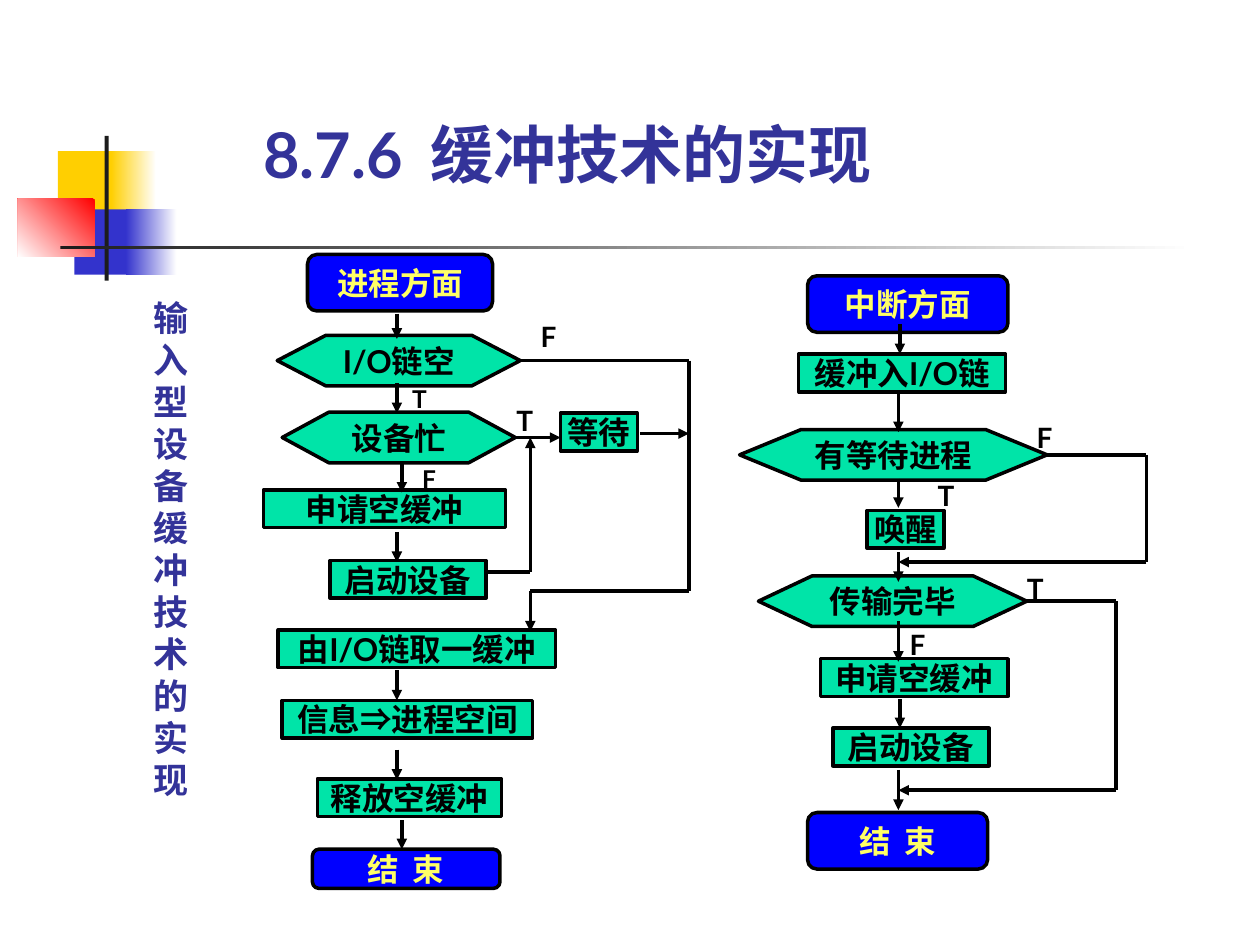
from dataclasses import dataclass
from itertools import pairwise

from lxml import etree
from pptx import Presentation
from pptx.dml.color import RGBColor
from pptx.enum.shapes import MSO_CONNECTOR, MSO_SHAPE
from pptx.enum.text import MSO_ANCHOR, PP_ALIGN
from pptx.oxml.ns import qn
from pptx.util import Cm, Pt

RECTANGLE = MSO_SHAPE.RECTANGLE
TERMINAL = MSO_SHAPE.FLOWCHART_ALTERNATE_PROCESS
DECISION = MSO_SHAPE.FLOWCHART_PREPARATION
STRAIGHT = MSO_CONNECTOR.STRAIGHT
TOP, MIDDLE, BOTTOM = MSO_ANCHOR.TOP, MSO_ANCHOR.MIDDLE, MSO_ANCHOR.BOTTOM
CENTER = PP_ALIGN.CENTER
RIGHT_SIDE = 3


@dataclass(frozen=True)
class Theme:
    font: str = "Lato"
    symbol_font: str = "Arial"
    title_size: int = 36
    side_size: int = 20
    box_size: int = 18
    label_size: int = 16
    small_label_size: int = 14
    line_width: int = 2
    black: str = "000000"
    white: str = "FFFFFF"
    heading: str = "333399"
    terminal_fill: str = "0000FF"
    terminal_text: str = "FFFF66"
    step_fill: str = "00E4A8"
    yellow: str = "FFCF01"
    blue: str = "3333CC"
    red: str = "FF0000"
    charcoal: str = "1C1C1C"


class FlowSlide:
    def __init__(self, slide, theme):
        self.shapes = slide.shapes
        self.theme = theme

    def fill_text(self, shape, parts, size, color, anchor, align=None, wrap=True):
        """Fill a shape with one paragraph; a part of one space becomes a double-width gap."""
        frame = shape.text_frame
        frame.word_wrap = wrap
        frame.vertical_anchor = anchor
        frame.margin_left = frame.margin_right = frame.margin_top = frame.margin_bottom = 0
        para = frame.paragraphs[0]
        para.alignment = align
        for part in parts:
            span = para.add_run()
            span.text = part
            font = span.font
            font.name = self.theme.symbol_font if part == "⇒" else self.theme.font
            font.size, font.bold = Pt(size), True
            font.color.rgb = RGBColor.from_string(color)
            if part == " ":
                span._r.get_or_add_rPr().set("spc", str(size * 20))

    def text(self, left, top, width, height, parts, size, color, anchor=TOP):
        box = self.shapes.add_textbox(Cm(left), Cm(top), Cm(width), Cm(height))
        self.fill_text(box, parts, size, color, anchor)

    def label(self, left, top, letter, size):
        self.text(left, top, 0.41, 0.69, [letter], size, self.theme.black)

    def shape(self, kind, left, top, width, height):
        shape = self.shapes.add_shape(kind, Cm(left), Cm(top), Cm(width), Cm(height))
        shape.shadow.inherit = False
        return shape

    def block(self, left, top, width, height, color, fade_angle=None):
        """Decorative block, fading to white when an angle is given."""
        block = self.shape(RECTANGLE, left, top, width, height)
        block.line.fill.background()
        if fade_angle is None:
            block.fill.solid()
            block.fill.fore_color.rgb = RGBColor.from_string(color)
            return
        block.fill.gradient()
        block.fill.gradient_angle = fade_angle
        for stop, shade in zip(block.fill.gradient_stops, (color, self.theme.white)):
            stop.color.rgb = RGBColor.from_string(shade)

    def box(self, kind, left, top, width, height, parts):
        theme = self.theme
        box = self.shape(kind, left, top, width, height)
        terminal = kind == TERMINAL
        box.fill.solid()
        box.fill.fore_color.rgb = RGBColor.from_string(
            theme.terminal_fill if terminal else theme.step_fill)
        box.line.color.rgb = RGBColor.from_string(theme.black)
        box.line.width = Pt(theme.line_width)
        self.fill_text(box, parts, theme.box_size,
                       theme.terminal_text if terminal else theme.black,
                       TOP if kind == RECTANGLE else MIDDLE, CENTER, wrap=False)
        return box

    def terminal(self, left, top, width, parts, height=1.14):
        return self.box(TERMINAL, left, top, width, height, parts)

    def decision(self, left, top, width, text):
        return self.box(DECISION, left, top, width, 1.02, [text])

    def step(self, left, top, width, *parts):
        return self.box(RECTANGLE, left, top, width, 0.76, parts)

    def route(self, *points, source=None):
        """Chain of lines through the points, with an arrowhead on the last one."""
        for number, (start, end) in enumerate(pairwise(points), 1):
            line = self.shapes.add_connector(STRAIGHT, *map(Cm, start + end))
            line.line.color.rgb = RGBColor.from_string(self.theme.black)
            line.line.width = Pt(self.theme.line_width)
            if source is not None and number == 1:
                line.begin_connect(source, RIGHT_SIDE)
            if number == len(points) - 1:
                etree.SubElement(line.line._get_or_add_ln(), qn("a:tailEnd"), type="triangle")
            etree.SubElement(line._element.spPr, qn("a:effectLst"))

    def drops(self, x, *spans):
        for top, bottom in spans:
            self.route((x, top), (x, bottom))


def draw_decoration(page):
    theme = page.theme
    page.block(1.17, 3.05, 1.22, 1.32, theme.yellow)
    page.block(2.24, 3.05, 0.91, 1.32, theme.yellow, 0)
    page.block(1.5, 4.22, 1.17, 1.32, theme.blue)
    page.block(2.54, 4.22, 1.02, 1.32, theme.blue, 0)
    page.block(0.36, 4.01, 1.55, 1.17, theme.red, 225)
    page.block(2.11, 2.74, 0.08, 2.92, theme.charcoal)
    page.block(1.22, 4.95, 22.86, 0.08, theme.charcoal, 0)


def draw_process_side(page):
    page.terminal(6.2, 5.13, 3.73, ["进程方面"])
    chain_empty = page.decision(5.59, 6.76, 4.9, "I/O链空")
    device_busy = page.decision(5.69, 8.31, 4.7, "设备忙")
    page.step(5.31, 9.88, 4.88, "申请空缓冲")
    page.step(6.65, 11.3, 3.15, "启动设备")
    page.step(5.61, 12.7, 5.59, "由I/O链取一缓冲")
    page.step(5.69, 14.12, 5.05, "信息", "⇒", "进程空间")
    page.step(6.4, 15.7, 3.71, "释放空缓冲")
    page.terminal(6.3, 17.12, 3.78, ["结", " ", "束"], 0.79)
    page.step(11.3, 8.33, 1.55, "等待")

    page.drops(8, (6.32, 6.83), (7.72, 8.33), (10.72, 11.33), (13.51, 14.12), (15.11, 15.72))
    page.drops(8.1, (9.32, 9.93), (16.54, 17.12))
    bypass_x, return_x = 13.89, 10.69
    page.route((10.49, 7.27), (bypass_x, 7.27), (bypass_x, 11.91),
               (return_x, 11.91), (return_x, 12.73), source=chain_empty)
    page.route((10.39, 8.82), (11.3, 8.82), source=device_busy)
    page.route((12.9, 8.74), (bypass_x, 8.74))
    page.route((9.8, 11.53), (return_x, 11.53), (return_x, 8.82))

    page.label(10.41, 8.13, "T", page.theme.label_size)
    page.label(10.9, 6.45, "F", page.theme.label_size)
    page.label(8.31, 7.75, "T", page.theme.small_label_size)
    page.label(8.51, 9.35, "F", page.theme.small_label_size)


def draw_interrupt_side(page):
    page.terminal(16.28, 5.56, 4.04, ["中断方面"])
    page.step(16.1, 7.14, 4.17, "缓冲入I/O链")
    has_waiting = page.decision(14.91, 8.66, 6.2, "有等待进程")
    page.step(17.48, 10.29, 1.55, "唤醒")
    transfer_done = page.decision(15.29, 11.61, 5.41, "传输完毕")
    page.step(16.54, 13.28, 3.78, "申请空缓冲")
    page.step(16.79, 14.68, 3.15, "启动设备")
    page.terminal(16.28, 16.38, 3.63, ["结", " ", "束"])

    axis = 18.11
    page.drops(18.14, (6.53, 7.14), (14.1, 14.68))
    page.drops(axis, (7.92, 8.71), (9.65, 10.24), (11.13, 11.73), (12.52, 13.34), (15.52, 16.33))
    page.route((21.11, 9.17), (23.11, 9.17), (23.11, 11.33), (axis, 11.33), source=has_waiting)
    page.route((20.7, 12.12), (22.5, 12.12), (22.5, 15.93), (axis, 15.93), source=transfer_done)

    for left, top, letter in ((18.9, 9.65, "T"), (20.9, 8.48, "F"),
                              (18.34, 12.65, "F"), (20.7, 11.53, "T")):
        page.label(left, top, letter, page.theme.label_size)


def main():
    deck = Presentation()
    deck.slide_width, deck.slide_height = Cm(25.4), Cm(19.05)
    theme = Theme()
    page = FlowSlide(deck.slides.add_slide(deck.slide_layouts[6]), theme)
    draw_decoration(page)
    draw_process_side(page)
    draw_interrupt_side(page)
    page.text(3.1, 5.97, 0.99, 10.16, ["输入型设备缓冲技术的实现"], theme.side_size, theme.heading)
    page.text(5.31, 2.34, 14.4, 1.52, ["8.7.6", " ", "缓冲技术的实现"],
              theme.title_size, theme.heading, BOTTOM)
    deck.save("out.pptx")


if __name__ == "__main__":
    main()
